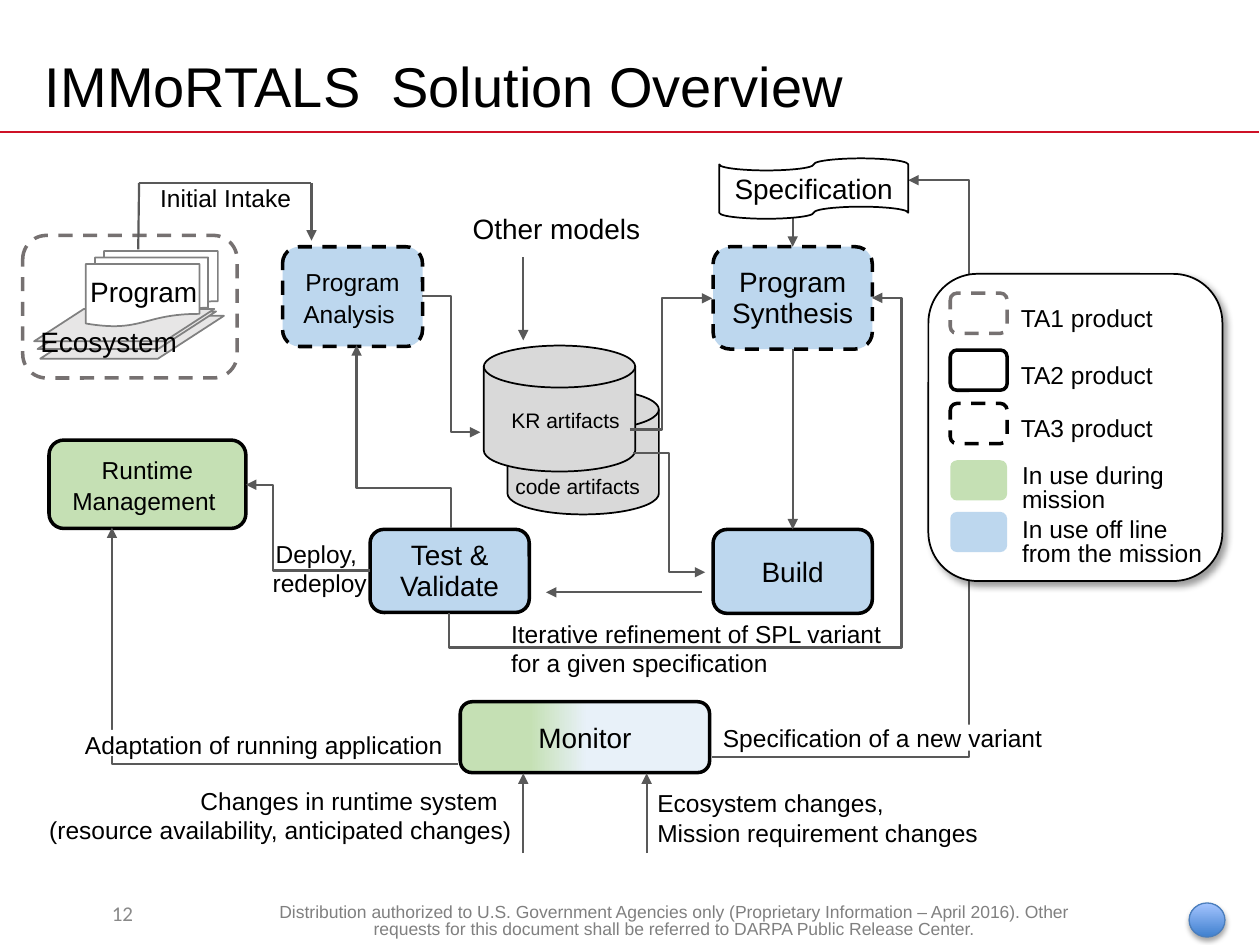
from lxml.etree import SubElement
from pptx import Presentation
from pptx.dml.color import RGBColor
from pptx.enum.dml import MSO_LINE
from pptx.enum.shapes import MSO_CONNECTOR, MSO_SHAPE as S
from pptx.enum.text import MSO_ANCHOR, PP_ALIGN
from pptx.oxml.ns import qn
from pptx.util import Pt

GRAY, BLUE, GREEN = "595959", "BDD7EE", "C5E0B4"
LEFT, MID, RIGHT = PP_ALIGN.LEFT, PP_ALIGN.CENTER, PP_ALIGN.RIGHT

deck = Presentation()
deck.slide_width, deck.slide_height = Pt(720), Pt(540)
slide = deck.slides.add_slide(deck.slide_layouts[5])
shapes = slide.shapes


def paint(fill, tone):
    """Solid fill from a hex string, or no fill for None."""
    if tone is None:
        fill.background()
    else:
        fill.solid()
        fill.fore_color.rgb = RGBColor.from_string(tone)


def box(kind, at, text="", size=14, fill=None, line=None, wide=1, dash=None,
        align=LEFT, anchor=MSO_ANCHOR.TOP, gap=None, face="Arial", tone="000000"):
    """A preset shape, a text box (kind None) or a placeholder, with its text."""
    at = [Pt(n) for n in at]
    if kind is None:
        item = shapes.add_textbox(*at)
    elif kind == "title":
        item = shapes.title
        item.left, item.top, item.width, item.height = at
    else:
        item = shapes.add_shape(kind, *at)
        item.shadow.inherit = False
        paint(item.fill, fill)
        paint(item.line.fill, line)
        if line:
            item.line.width = Pt(wide)
            item.line.dash_style = dash
    frame = item.text_frame
    frame.word_wrap = True
    frame.vertical_anchor = anchor
    if text:
        frame.text = text
        look = {"name": face, "size": Pt(size)}
        for para in frame.paragraphs:
            para.alignment = align
            para.line_spacing = gap
            for key, val in look.items():
                setattr(para.font, key, val)
            paint(para.font.fill, tone)
    return item


# Title, rule and footer
box("title", (18.5, 21.5, 648, 54), "IMMoRTALS  Solution Overview", 32,
    anchor=MSO_ANCHOR.MIDDLE)
box(None, (152, 513.5, 466, 22.5),
    "Distribution authorized to U.S. Government Agencies only (Proprietary Information – "
    "April 2016). Other requests for this document shall be referred to DARPA Public "
    "Release Center.", 10, align=MID, gap=0.8, tone="808080")
box(None, (20, 507, 100, 29), "12", 12, align=MID, anchor=MSO_ANCHOR.MIDDLE,
    face="Calibri", tone="898989")

# Artifact stores
for x, y in [(290, 222), (276.5, 197.5)]:
    box(S.FLOWCHART_MAGNETIC_DISK, (x, y, 86.5, 72), fill="D9D9D9", line="000000")

# Ecosystem with its programs
for at in [(23, 180.5, 105, 24.5), (21.5, 178, 102, 21.5), (19.5, 176.5, 103, 18.5)]:
    sheet = box(S.PARALLELOGRAM, at, fill="E7E6E6", line="808080")
    sheet.adjustments[0] = 1.54
box(S.FLOWCHART_MULTIDOCUMENT, (49, 143.5, 75.5, 43), fill="FFFFFF", line="808080")
box(S.ROUNDED_RECTANGLE, (13, 134.5, 122.5, 81.5), line="767171", wide=2,
    dash=MSO_LINE.DASH)

# Process steps
steps = [
    ((161.5, 141, 80, 57), "Program Analysis ", 14, BLUE, MSO_LINE.DASH, Pt(18)),
    ((407.5, 141, 91, 58.5), "Program Synthesis", 16, BLUE, MSO_LINE.DASH, Pt(18)),
    ((407.5, 302.5, 91, 48), "Build", 16, BLUE, None, None),
    ((211.5, 302.5, 91, 47.5), "Test & Validate", 16, BLUE, None, Pt(18)),
    ((28, 251.5, 112.5, 50.5), "Runtime Management ", 14, GREEN, None, Pt(18)),
    ((263, 401, 142.5, 40.5), "Monitor", 16, GREEN, None, None),
]
for at, text, size, fill, dash, gap in steps:
    step = box(S.ROUNDED_RECTANGLE, at, text, size, fill, "000000", 2, dash, MID,
               MSO_ANCHOR.MIDDLE, gap)
ball = box(S.OVAL, (679.5, 516, 20.5, 19.5), fill=BLUE, line="4B7EBC", wide=0.75)

# Gradients of the monitor and the corner ball
for item, angle, stops in [(step, 0, [(0.28, GREEN), (0.51, "E8F1F9")]),
                           (ball, 90, [(0, "3F80CE"), (1, "A4C4FF")])]:
    item.fill.gradient()
    item.fill.gradient_angle = angle
    for stop, (spot, tone) in zip(item.fill.gradient_stops, stops):
        stop.position = spot
        stop.color.rgb = RGBColor.from_string(tone)

# Lines: ends, bends, turn, arrow, colour, width
flow = (True, GRAY, 1.25)
plain = (False, GRAY, 1.25)
routes = [
    ((0, 75.5, 719.5, 75.5), (), 0, (False, "CE1126", 1)),
    ((241, 169, 274.5, 247), (0.5,), 0, flow),
    ((360, 245.5, 407, 170.5), (0.39,), 0, flow),
    ((453, 199.5, 453, 302.5), (), 0, flow),
    ((401, 338.5, 312, 338.5), (), 0, flow),
    ((211.5, 326, 140.5, 277), (0.78,), 0, flow),
    ((262, 436.5, 64, 301.5), (1,), 0, flow),
    ((407, 432.5, 519, 103), (1.31,), 0, flow),
    ((453, 118, 453, 141), (), 0, flow),
    ((178.5, 276.5, 283, 222.5), (0.22,), 270, flow),
    ((467.5, 381, 287.5, 139.5), (-0.11, 1.07), 90, flow),
    ((299, 487.5, 299, 442), (), 0, flow),
    ((369.5, 487.5, 369.5, 442), (), 0, flow),
    ((362, 259, 403, 327), (0.5,), 0, flow),
    ((299, 147, 299, 194.5), (), 0, flow),
    ((79, 142.5, 79.5, 104.5), (), 0, plain),
    ((79.5, 104.5, 178, 104.5), (), 0, plain),
    ((178, 104.5, 178, 137.5), (), 0, flow),
]
for ends, bends, turn, (arrow, tone, wide) in routes:
    kind = MSO_CONNECTOR.ELBOW if bends else MSO_CONNECTOR.STRAIGHT
    link = shapes.add_connector(kind, *[Pt(n) for n in ends])
    paint(link.line.fill, tone)
    link.line.width = Pt(wide)
    props = link._element.spPr
    if arrow:
        SubElement(props.find(qn("a:ln")), qn("a:tailEnd"), type="triangle")
    SubElement(props, qn("a:effectLst"))
    if turn:
        props.find(qn("a:xfrm")).set("rot", str(turn * 60000))
    if bends:
        geom = props.find(qn("a:prstGeom"))
        geom.set("prst", f"bentConnector{len(bends) + 2}")
        for num, bend in enumerate(bends, 1):
            SubElement(geom.find(qn("a:avLst")), qn("a:gd"), name=f"adj{num}",
                       fmla=f"val {round(bend * 100000)}")

# Specification and legend panel
box(S.FLOWCHART_PUNCHED_TAPE, (411, 90.5, 108, 34.5), "Specification", 16, "FFFFFF",
    "000000", align=MID, anchor=MSO_ANCHOR.MIDDLE)
panel = box(S.ROUNDED_RECTANGLE, (530.5, 156.5, 168, 175.5), fill="FFFFFF", line="000000")

# Shadows: opacity, blur, distance, angle
for item, dim, blur, dist, angle in [(panel, 40, 4, 3, 45), (ball, 35, 3.1, 1.8, 90)]:
    glow = SubElement(item._element.spPr.find(qn("a:effectLst")), qn("a:outerShdw"),
                      blurRad=str(Pt(blur)), dist=str(Pt(dist)),
                      dir=str(angle * 60000), rotWithShape="0")
    SubElement(SubElement(glow, qn("a:srgbClr"), val="000000"), qn("a:alpha"),
               val=str(dim * 1000))

# Legend keys
keys = [
    (167.5, 168.5, 26.5, "TA1 product", None, "767171", MSO_LINE.DASH, None),
    (200, 201, 26.5, "TA2 product", None, "000000", None, None),
    (230.5, 231, 26.5, "TA3 product", None, "000000", MSO_LINE.DASH, None),
    (263, 260, 39.5, "In use during mission", GREEN, None, None, Pt(14)),
    (292.5, 291, 39.5, "In use off line from the mission", BLUE, None, None, Pt(14)),
]
for y, top, high, text, fill, line, dash, gap in keys:
    box(S.ROUNDED_RECTANGLE, (543, y, 32.5, 23), fill=fill, line=line, wide=2, dash=dash)
    box(S.ROUNDED_RECTANGLE, (575, top, 129, high), text, gap=gap)

# Gaps in the lines behind labels
for x, y in [(547, 414), (56, 417)]:
    box(S.RECTANGLE, (x, y, 13.5, 15), fill="FFFFFF")

# Labels
labels = [
    ((44.5, 153.5, 78, 26.5), "Program", 16, LEFT, None),
    ((16, 182, 93.5, 26.5), "Ecosystem", 16, LEFT, None),
    ((263, 117.5, 114.5, 26.5), "Other models", 16, LEFT, None),
    ((80, 101, 98, 24), "Initial Intake", 14, MID, None),
    ((285, 350, 229, 42),
     "Iterative refinement of SPL variant for a given specification", 14, LEFT, None),
    ((368.5, 447, 220.5, 42), "Ecosystem changes,\nMission requirement changes", 14, LEFT,
     None),
    ((13.5, 445.5, 286, 42),
     "Changes in runtime system  \n(resource availability, anticipated changes)", 14, RIGHT,
     None),
    ((147, 304.5, 71.5, 42), "Deploy, \nredeploy", 14, MID, None),
    ((406, 409.5, 208, 24), "Specification of a new variant", 14, LEFT, None),
    ((41.5, 413.5, 227.5, 24), "Adaptation of running application", 14, LEFT, None),
    ((283, 232, 80.5, 18.5), "KR artifacts", 12, MID, 0.8),
    ((278.5, 270, 100, 18.5), " code artifacts", 12, MID, 0.8),
]
for at, text, size, align, gap in labels:
    box(None, at, text, size, align=align, gap=gap)

deck.save("out.pptx")
